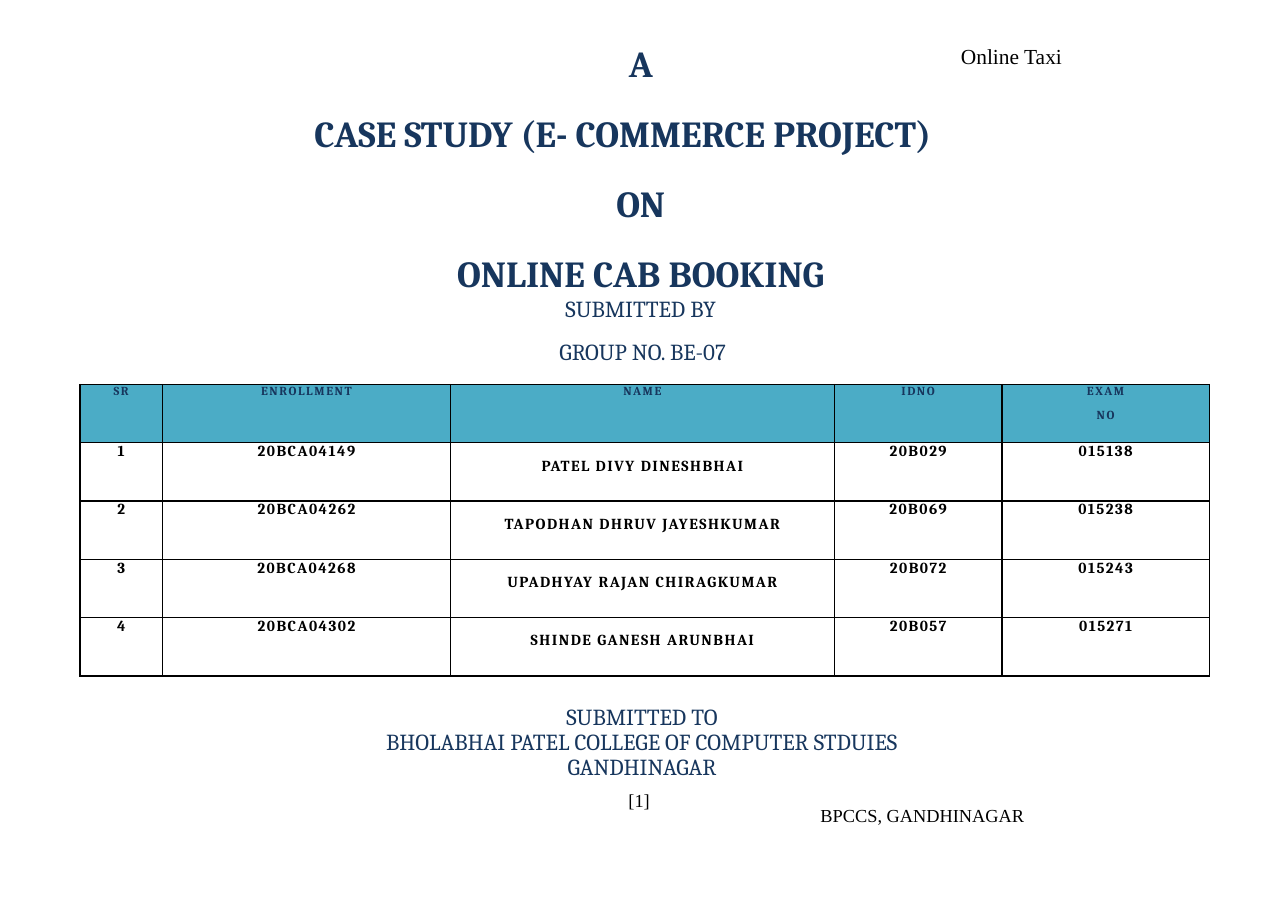
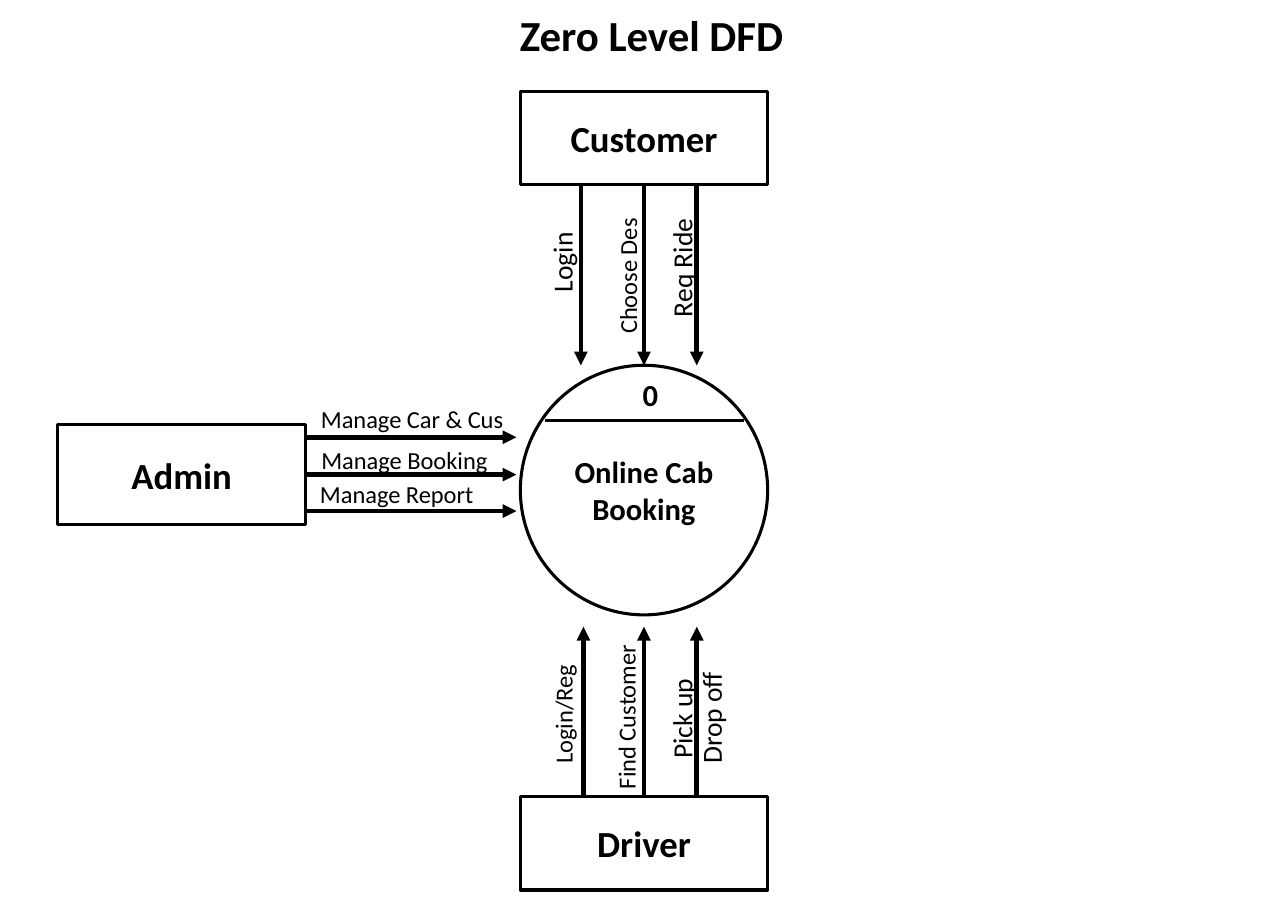
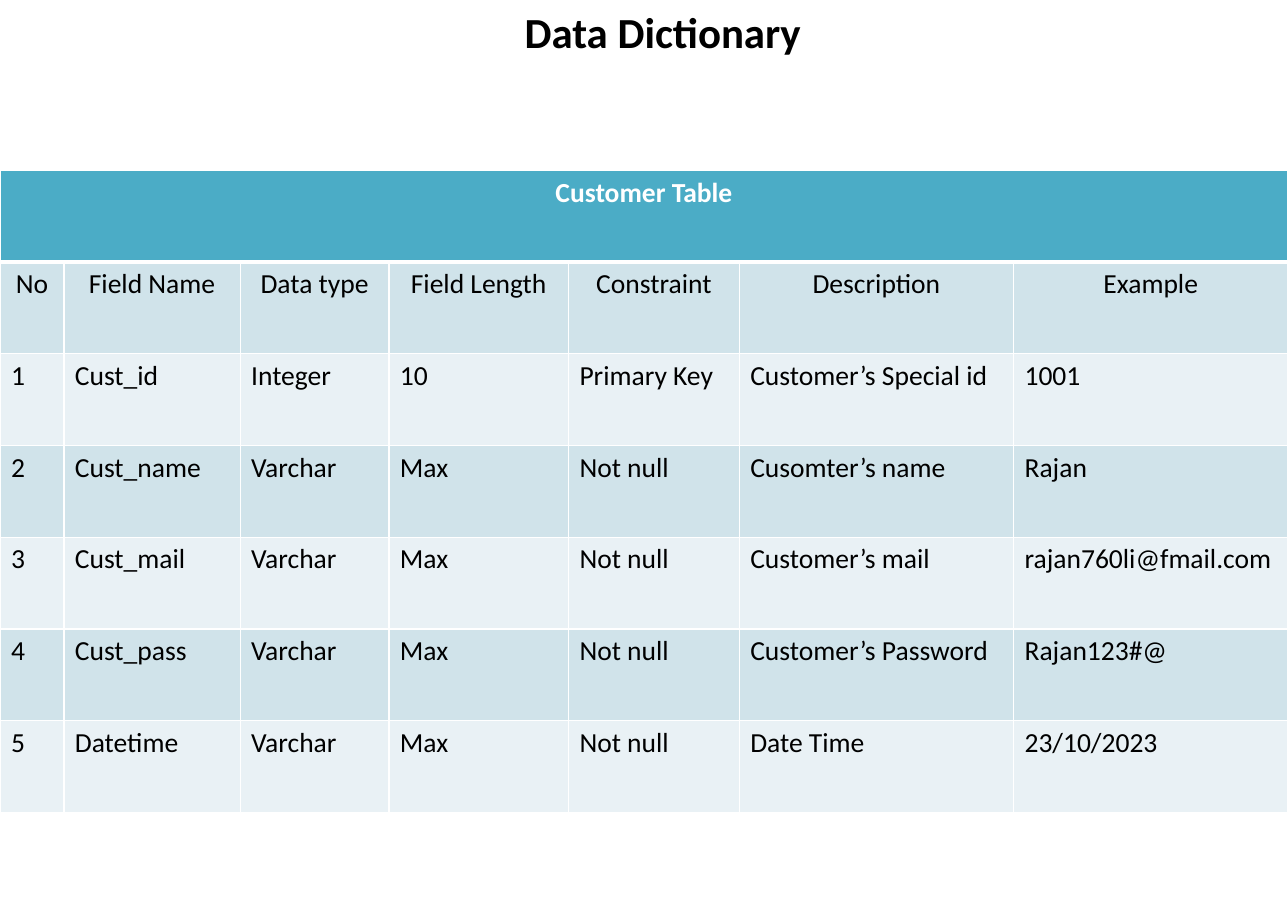
from dataclasses import dataclass

from lxml import etree
from pptx import Presentation, util as u
from pptx.dml.color import RGBColor
from pptx.enum import shapes, text
from pptx.oxml import ns

LEFT, CENTER = text.PP_ALIGN.LEFT, text.PP_ALIGN.CENTER
TOP, MIDDLE = text.MSO_ANCHOR.TOP, text.MSO_ANCHOR.MIDDLE


@dataclass(frozen=True)
class Theme:
    ink: str = "000000"
    paper: str = "FFFFFF"
    navy: str = "17365D"
    accent: str = "4BACC6"
    band_dark: str = "D0E3EA"
    band_light: str = "E9F1F5"
    sans: str = "Calibri"
    serif: str = "Cambria"
    running: str = "Times New Roman"
    title: int = 28
    cover: int = 24
    entity: int = 24
    process: int = 20
    body: int = 18
    flow: int = 16
    subtitle: int = 15
    header: int = 14
    footer: int = 12
    cell: int = 10
    cell_head: int = 8


@dataclass(frozen=True)
class Box:
    x: float
    y: float
    w: float
    h: float

    def point(self, x, y):
        return int(self.x + self.w * x / 100), int(self.y + self.h * y / 100)

    def area(self, x, y, w, h):
        return Box(*self.point(x, y), int(self.w * w / 100), int(self.h * h / 100))

    def around(self, x, y, w, h):
        return self.area(x - w / 2, y - h / 2, w, h)

    def frame(self):
        return self.x, self.y, self.w, self.h


T = Theme()
PAGE = Box(0, 0, u.Inches(11.69), u.Inches(8.27))


def rgb(value):
    return RGBColor.from_string(value)


def write(tf, items, size=T.body, font=T.sans, color=T.ink, bold=False, align=LEFT,
          anchor=TOP, inset=None, wrap=True, line=None, after=None, spacing=None):
    tf.word_wrap = wrap
    tf.auto_size = text.MSO_AUTO_SIZE.NONE
    tf.vertical_anchor = anchor
    if inset is not None:
        tf.margin_left = tf.margin_right = tf.margin_top = tf.margin_bottom = inset
    fill_paragraphs(tf, items, size=size, font=font, color=color, bold=bold,
                    align=align, line=line, after=after, spacing=spacing)


def fill_paragraphs(tf, items, **base):
    items = [items] if isinstance(items, str) else items
    for i, item in enumerate(items):
        words, changes = (item, {}) if isinstance(item, str) else item
        f = {**base, **changes}
        p = tf.paragraphs[0] if i == 0 else tf.add_paragraph()
        p.alignment = f["align"]
        if f["line"]:
            p.line_spacing = u.Pt(f["line"])
        if f["after"]:
            p.space_after = u.Pt(f["after"])
        r = p.add_run()
        r.text = words
        r.font.size, r.font.name, r.font.bold = u.Pt(f["size"]), f["font"], f["bold"]
        r.font.color.rgb = rgb(f["color"])
        if f["spacing"]:
            r.font._element.set("spc", str(int(f["spacing"] * 100)))


def add_text(s, box, items, turn=0, **fmt):
    sp = s.shapes.add_textbox(*box.frame())
    sp.rotation = turn
    write(sp.text_frame, items, **fmt)


def add_title(s, box, items, **fmt):
    sp = s.shapes.title
    sp.left, sp.top, sp.width, sp.height = box.frame()
    write(sp.text_frame, items, **{"size": T.title, "bold": True, **fmt})


def add_node(s, kind, box, words, size):
    sp = s.shapes.add_shape(kind, *box.frame())
    sp.shadow.inherit = False
    sp.fill.solid()
    sp.fill.fore_color.rgb = rgb(T.paper)
    sp.line.color.rgb = rgb(T.ink)
    sp.line.width = u.Pt(2)
    write(sp.text_frame, words, size=size, bold=True, align=CENTER, anchor=MIDDLE)
    return sp


def add_line(s, start, end, width=3, arrow=True, begin=None, finish=None):
    c = s.shapes.add_connector(shapes.MSO_CONNECTOR.STRAIGHT, *start, *end)
    if begin:
        c.begin_connect(*begin)
    if finish:
        c.end_connect(*finish)
    c.line.color.rgb = rgb(T.ink)
    c.line.width = u.Pt(width)
    if arrow:
        etree.SubElement(c.line._get_or_add_ln(), ns.qn("a:tailEnd"), type="triangle")
    etree.SubElement(c._element.spPr, ns.qn("a:effectLst"))


def set_borders(cell, color, widths):
    tc_pr = cell._tc.get_or_add_tcPr()
    for side, width in zip("LRTB", widths):
        ln = etree.SubElement(tc_pr, ns.qn("a:ln" + side), w=str(u.Pt(width)))
        fill = etree.SubElement(ln, ns.qn("a:solidFill"))
        etree.SubElement(fill, ns.qn("a:srgbClr"), val=color)


def add_grid(s, box, columns, rows, style):
    tbl = s.shapes.add_table(len(rows), len(columns), *box.frame()).table
    tbl.horz_banding = False
    for column, share in zip(tbl.columns, columns):
        column.width = int(box.w * share / sum(columns))
    for i, row in enumerate(rows):
        tbl.rows[i].height = int(box.h / len(rows))
        for j, words in enumerate(row):
            cell = tbl.cell(i, j)
            fill, border, widths, fmt = style(i, j)
            set_borders(cell, border, widths)
            if fill:
                cell.fill.solid()
                cell.fill.fore_color.rgb = rgb(fill)
            else:
                cell.fill.background()
            inset = fmt.pop("inset", None)
            if inset is not None:
                cell.margin_left = cell.margin_right = inset
                cell.margin_top = cell.margin_bottom = inset
            if words:
                fill_paragraphs(cell.text_frame, words,
                                **{"line": None, "after": None, "spacing": None, **fmt})
    return tbl


def running_text(s, box):
    fmt = dict(font=T.running, inset=0)
    add_text(s, box.area(74.6, 4.7, 13.6, 1.6), "Online Taxi", size=T.header, **fmt)
    add_text(s, box.area(48.8, 86.6, 2.6, 1.7), "[1]", size=T.footer, **fmt)
    add_text(s, box.area(63.7, 88.3, 24.4, 1.6), "BPCCS, GANDHINAGAR", size=T.footer, **fmt)


def member_style(i, j):
    fmt = dict(size=T.cell if i else T.cell_head, font=T.serif, bold=True, inset=0,
               color=T.ink if i else T.navy, align=CENTER, spacing=1,
               line=21.1 if i and j == 2 else None)
    return None if i else T.accent, T.ink, [1] * 4, fmt


def members(s, box):
    people = [
        ("20BCA04149", "PATEL DIVY DINESHBHAI", "20B029", "015138"),
        ("20BCA04262", "TAPODHAN DHRUV JAYESHKUMAR", "20B069", "015238"),
        ("20BCA04268", "UPADHYAY RAJAN CHIRAGKUMAR", "20B072", "015243"),
        ("20BCA04302", "SHINDE GANESH ARUNBHAI", "20B057", "015271"),
    ]
    head = ("SR", "ENROLLMENT", "NAME", "IDNO", [("EXAM", {"after": 6.3}), "NO"])
    rows = [head] + [(str(n), *person) for n, person in enumerate(people, 1)]
    add_grid(s, box, (0.75, 2.61, 3.48, 1.52, 1.88), rows, member_style)


def cover(s, box):
    fmt = dict(font=T.serif, color=T.navy, align=CENTER, inset=0)
    add_title(s, box.area(24.4, 1.7, 50.7, 30.2), [
        "A",
        ("CASE STUDY (E- COMMERCE PROJECT)", {"align": LEFT}),
        "ON",
        "ONLINE CAB BOOKING",
        ("SUBMITTED BY", {"size": T.subtitle, "bold": False, "line": None}),
    ], size=T.cover, line=45.6, **fmt)
    add_text(s, box.area(39.6, 37.1, 20.6, 1.5), "GROUP NO. BE-07", size=T.subtitle, **fmt)
    members(s, box.area(6.2, 42.2, 87.7, 32))
    add_text(s, box.area(18.9, 77.4, 61.9, 5.3), [
        "SUBMITTED TO",
        "BHOLABHAI PATEL COLLEGE OF COMPUTER STDUIES",
        "GANDHINAGAR",
    ], size=T.subtitle, line=16.4, **fmt)
    running_text(s, box)


def flow_labels(s, box):
    upright = [
        ("Login", 43.6, 28.1, 7.3, T.body, LEFT),
        ("Choose Des", 48.7, 30.3, 11, T.flow, CENTER),
        ("Req Ride", 52.9, 29.4, 11.1, T.body, CENTER),
        ("Login/Reg", 43.7, 78.4, 12.1, T.flow, CENTER),
        ("Find Customer", 48.6, 78.7, 16, T.flow, CENTER),
        ("Pick up", 52.9, 78.9, 8.6, T.body, CENTER),
        ("Drop off", 55.2, 78.8, 10.8, T.body, CENTER),
    ]
    level = [
        ("Manage Car & Cus", 32, 46, 19.2, T.flow, CENTER),
        ("Manage Booking", 31.4, 50.5, 19.2, T.flow, CENTER),
        ("Manage Report", 30.8, 54.2, 19.2, T.flow, CENTER),
    ]
    for turn, labels in ((270, upright), (0, level)):
        for words, x, y, length, size, align in labels:
            add_text(s, box.around(x, y, length, 4.8 if size == T.body else 4.5), words,
                     turn=turn, size=size, align=align, anchor=MIDDLE)


def dfd(s, box):
    add_title(s, box.area(39.5, 0.4, 22.4, 6.9), "Zero Level DFD", wrap=False)
    rect = shapes.MSO_SHAPE.RECTANGLE
    customer = add_node(s, rect, box.area(40.4, 10, 19.2, 10.3), "Customer", T.entity)
    admin = add_node(s, rect, box.area(4.5, 46.6, 19.2, 11), "Admin", T.entity)
    process = add_node(s, shapes.MSO_SHAPE.FLOWCHART_CONNECTOR,
                       box.area(40.4, 40.1, 19.2, 27.4), "Online Cab Booking", T.process)
    driver = add_node(s, rect, box.area(40.4, 87.4, 19.2, 10.3), "Driver", T.entity)
    flows = [
        (45.1, 20.3, 45.1, 40.1, None, None),
        (50, 20.3, 50, 40.1, (customer, 2), (process, 0)),
        (54.1, 20.3, 54.1, 40.1, None, None),
        (23.8, 48, 40.1, 48, None, None),
        (23.7, 52.1, 40.1, 52.1, (admin, 3), None),
        (23.8, 56.1, 40.1, 56.1, None, None),
        (45.3, 87.4, 45.3, 68.8, None, None),
        (50, 87.4, 50, 68.8, (driver, 0), None),
        (54.1, 87.4, 54.1, 68.8, None, None),
    ]
    for x1, y1, x2, y2, begin, finish in flows:
        add_line(s, box.point(x1, y1), box.point(x2, y2), begin=begin, finish=finish)
    flow_labels(s, box)
    add_line(s, box.point(42.3, 46.2), box.point(57.8, 46.2), width=2, arrow=False)
    add_text(s, box.around(50.5, 43.3, 5, 5.3), "0", size=T.process, bold=True, align=CENTER)


def field_style(i, j):
    fill = T.accent if i == 0 else T.band_dark if i % 2 else T.band_light
    widths = (1, 1, 3 if i == 1 else 1, 3 if i == 0 else 1)
    fmt = dict(size=T.body, font=T.sans, bold=i == 0, color=T.ink if i else T.paper,
               align=CENTER if i < 2 else LEFT)
    return fill, T.paper, widths, fmt


def dictionary(s, box):
    add_title(s, box.area(39.3, 0, 24.3, 6.9), "Data Dictionary", align=CENTER, wrap=False)
    fields = [
        ("Cust_id", "Integer", "10", "Primary Key", "Customer’s Special id", "1001"),
        ("Cust_name", "Varchar", "Max", "Not null", "Cusomter’s name", "Rajan"),
        ("Cust_mail", "Varchar", "Max", "Not null", "Customer’s mail", "rajan760li@fmail.com"),
        ("Cust_pass", "Varchar", "Max", "Not null", "Customer’s Password", "Rajan123#@"),
        ("Datetime", "Varchar", "Max", "Not null", "Date Time", "23/10/2023"),
    ]
    head = ("No", "Field Name", "Data type", "Field Length", "Constraint", "Description",
            "Example")
    rows = [("Customer Table",) + ("",) * 6, head]
    rows += [(str(n), *field) for n, field in enumerate(fields, 1)]
    tbl = add_grid(s, box.area(0, 18.7, 100, 70.5),
                   (0.58, 1.6, 1.35, 1.63, 1.55, 2.49, 2.49), rows, field_style)
    tbl.cell(0, 0).merge(tbl.cell(0, 6))


def main():
    prs = Presentation()
    prs.slide_width, prs.slide_height = PAGE.w, PAGE.h
    for build in (cover, dfd, dictionary):
        build(prs.slides.add_slide(prs.slide_layouts[5]), PAGE)
    prs.save("out.pptx")


if __name__ == "__main__":
    main()
